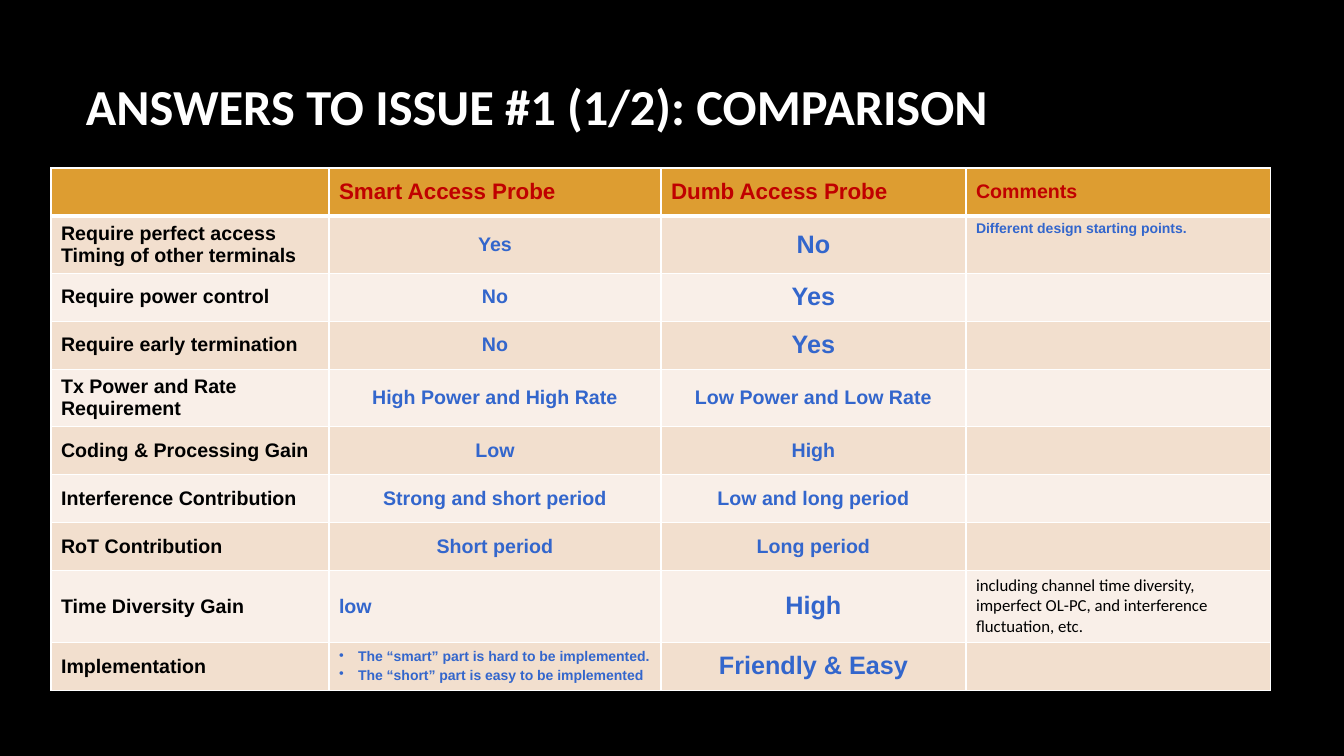
import pptx
import pptx.util
import pptx.dml.color
import pptx.enum.text
import pptx.oxml
import pptx.oxml.ns
import lxml.etree

PX = 914400 / 100.8
LEFT = pptx.enum.text.PP_ALIGN.LEFT
MID = pptx.enum.text.PP_ALIGN.CENTER
TOP = pptx.enum.text.MSO_ANCHOR.TOP
CENTER = pptx.enum.text.MSO_ANCHOR.MIDDLE

THEME = {
    "back": "000000", "line": "FFFFFF", "head": "DD9D31", "bands": ["F2DFCE", "F9EFE8"],
    # Each style: font, size, bold, color, align, anchor
    "title": ("Calibri", 36, True, "FFFFFF", LEFT, CENTER),
    "top": ("Arial", 16, True, "C00000", LEFT, CENTER),
    "top small": ("Arial", 14, True, "C00000", LEFT, CENTER),
    "label": ("Arial", 14, True, "000000", LEFT, CENTER),
    "value": ("Arial", 14, True, "3366CC", MID, CENTER),
    "value left": ("Arial", 14, True, "3366CC", LEFT, CENTER),
    "big": ("Arial", 18, True, "3366CC", MID, CENTER),
    "note": ("Arial", 10, True, "3366CC", LEFT, TOP),
    "list": ("Arial", 10, True, "3366CC", LEFT, CENTER),
    "plain": ("Calibri", 12, False, "000000", LEFT, TOP),
}


def px(n):
    return pptx.util.Emu(round(n * PX))


def write(frame, text, style):
    """Fill a text frame, one paragraph a line; list items get bullets."""
    name, size, bold, color, align, _ = THEME[style]
    frame.text = text
    for i, par in enumerate(frame.paragraphs):
        par.alignment = align
        if i:
            par.space_before = pptx.util.Pt(size * 0.2)
        if style == "list":
            props = par._p.get_or_add_pPr()
            props.set("marL", str(px(19)))
            props.set("indent", str(px(-19)))
            mark = lxml.etree.SubElement(props, pptx.oxml.ns.qn("a:buChar"))
            mark.set("char", "•")
        font = par.runs[0].font
        look = {"name": name, "size": pptx.util.Pt(size), "bold": bold}
        for key, val in look.items():
            setattr(font, key, val)
        font.color.rgb = pptx.dml.color.RGBColor.from_string(color)


# Slide
deck = pptx.Presentation()
deck.slide_width, deck.slide_height = px(1344), px(756)
slide = deck.slides.add_slide(deck.slide_layouts[6])
back = slide.background.fill
back.solid()
back.fore_color.rgb = pptx.dml.color.RGBColor.from_string(THEME["back"])

# Title
title = slide.shapes.add_textbox(px(76), px(68), px(1117), px(74)).text_frame
for key, val in {"word_wrap": True, "vertical_anchor": CENTER}.items():
    setattr(title, key, val)
write(title, "ANSWERS TO ISSUE #1 (1/2): COMPARISON", "title")

# Table content: row height, then text and style of each cell
EMPTY = ("", "label")
ROWS = [
    (48, EMPTY, ("Smart Access Probe", "top"), ("Dumb Access Probe", "top"),
     ("Comments", "top small")),
    (54, ("Require perfect access Timing of other terminals", "label"), ("Yes", "value"),
     ("No", "big"), ("Different design starting points.", "note")),
    (48, ("Require power control", "label"), ("No", "value"), ("Yes", "big"), EMPTY),
    (48, ("Require early termination", "label"), ("No", "value"), ("Yes", "big"), EMPTY),
    (54, ("Tx Power and Rate Requirement", "label"), ("High Power and High Rate", "value"),
     ("Low Power and Low Rate", "value"), EMPTY),
    (48, ("Coding & Processing Gain", "label"), ("Low", "value"), ("High", "value"), EMPTY),
    (48, ("Interference Contribution", "label"), ("Strong and short period", "value"),
     ("Low and long period", "value"), EMPTY),
    (48, ("RoT Contribution", "label"), ("Short period", "value"), ("Long period", "value"), EMPTY),
    (72, ("Time Diversity Gain", "label"), ("low", "value left"), ("High", "big"),
     ("including channel time diversity, imperfect OL-PC, and interference fluctuation, etc.",
      "plain")),
    (48, ("Implementation", "label"),
     ("The “smart” part is hard to be implemented.\nThe “short” part is easy to be implemented",
      "list"), ("Friendly & Easy", "big"), EMPTY),
]
COLS = [278, 332, 305, 305]

# Table grid
high = sum(row[0] for row in ROWS)
table = slide.shapes.add_table(
    len(ROWS), len(COLS), px(51), px(168), px(sum(COLS)), px(high)).table
for key in ("first_row", "horz_banding"):
    setattr(table, key, False)
for col, wide in zip(table.columns, COLS):
    col.width = px(wide)

# Table cells
for r, (tall, *cells) in enumerate(ROWS):
    table.rows[r].height = px(tall)
    fill = THEME["bands"][(r - 1) % 2] if r else THEME["head"]
    for c, (text, style) in enumerate(cells):
        cell = table.cell(r, c)
        cell.vertical_anchor = THEME[style][5]
        if text:
            write(cell.text_frame, text, style)
        # Borders, thicker under the header; they come before the fill
        props = cell._tc.get_or_add_tcPr()
        for side in "LRTB":
            thick = (r == 0 and side == "B") or (r == 1 and side == "T")
            props.append(pptx.oxml.parse_xml(
                f'<a:ln{side} {pptx.oxml.ns.nsdecls("a")} w="{pptx.util.Pt(3 if thick else 1)}">'
                f'<a:solidFill><a:srgbClr val="{THEME["line"]}"/></a:solidFill></a:ln{side}>'))
        cell.fill.solid()
        cell.fill.fore_color.rgb = pptx.dml.color.RGBColor.from_string(fill)

deck.save("out.pptx")
